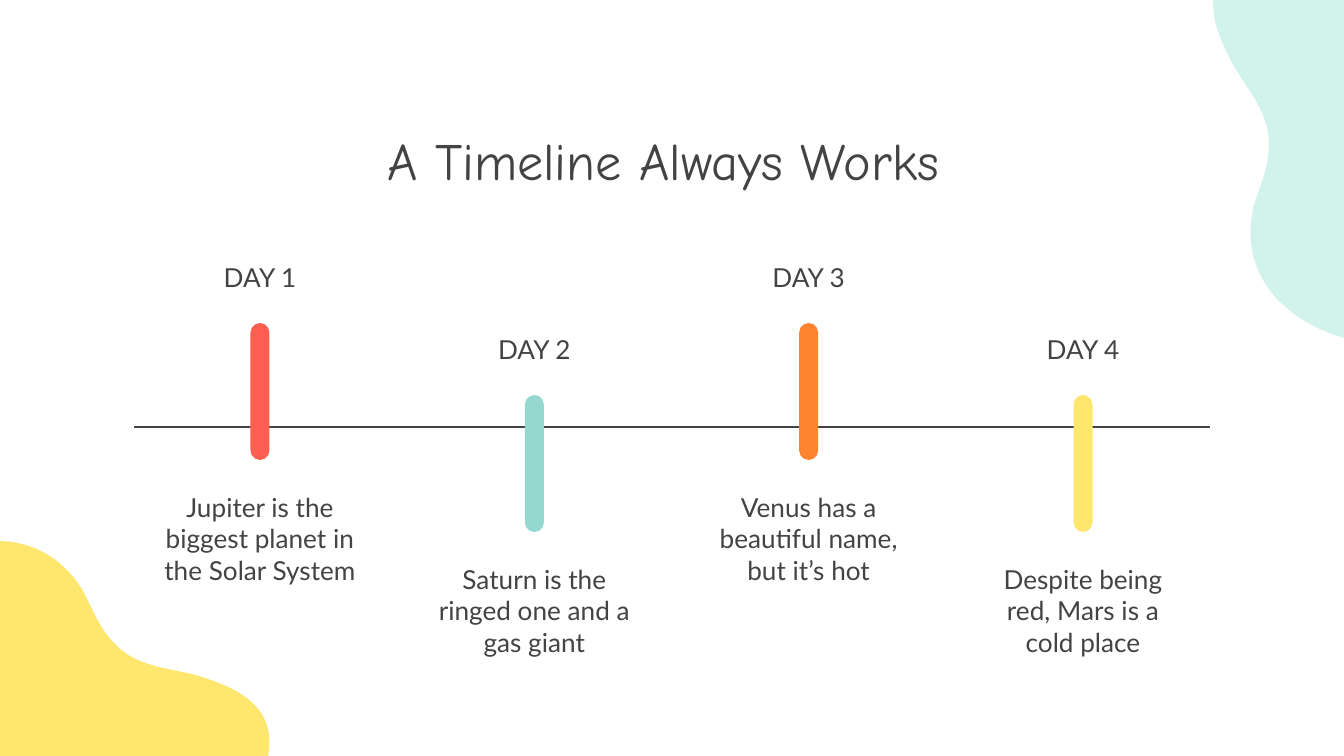
from pptx import Presentation
from pptx import util as u
from pptx.dml.color import RGBColor
from pptx.enum import shapes, text
from pptx.oxml.ns import qn

PX = 914400 / 134.4
INK = "434343"

TITLE = "A Timeline Always Works "  # the closing space sets the centring
DAYS = [
    ("DAY 1", "Jupiter is the biggest planet in the Solar System", "FF5F51"),
    ("DAY 2", "Saturn is the ringed one and a gas giant", "93D9CF"),
    ("DAY 3", "Venus has a beautiful name, but it’s hot", "FF842F"),
    ("DAY 4", "Despite being\nred, Mars is a\ncold place", "FFE76E"),
]

# Blob outline in px: each row is two control points and an end point,
# or a lone end point for a straight edge.
BLOB_START = (151, 0)
BLOB_CURVES = [
    [(78, 0), (0, 65), (17, 140)],
    [(46, 196)],
    [(82, 246), (30, 314), (99, 349)],
    [(121, 360), (148, 364), (176, 364)],
    [(246, 364), (328, 337), (367, 301)],
    [(395, 276), (431, 230), (422, 188)],
    [(415, 159), (386, 146), (359, 137)],
    [(327, 126), (294, 129), (269, 103)],
    [(253, 87), (247, 69), (237, 50)],
    [(216, 15), (184, 0), (151, 0)],
]
BLOBS = [  # left, top, turn in degrees, colour
    (-154, 541, 0, "FFE76E"),
    (1147, -55, 225, "D2F2EC"),
]

FIRST_X, LAST_X, DROP = 260, 1083, 72
BAR_W, BAR_H, BAR_TOP = 19, 137, 323
TEXT_W, LABEL_TOP, LABEL_H, NOTE_TOP, NOTE_H = 241, 248, 56, 478, 128
AXIS_LEFT, AXIS_RIGHT, AXIS_Y = 134, 1210, 427


def px(*lengths):
    return [u.Emu(round(length * PX)) for length in lengths]


def color(code):
    return RGBColor.from_string(code)


def paint(shape, code):
    shape.shadow.inherit = False
    shape.fill.solid()
    shape.fill.fore_color.rgb = color(code)
    shape.line.fill.background()


def bend(shape, curves):
    """Turn each run of three line segments into one Bézier curve."""
    segments = iter(list(shape.element.iter(qn("a:lnTo"))))
    for curve in curves:
        first, *others = [next(segments) for _ in curve]
        if others:
            first.tag = qn("a:cubicBezTo")
            for other in others:
                first.append(other[0])
                other.getparent().remove(other)


def add_blob(slide, left, top, turn, code):
    points = [point for curve in BLOB_CURVES for point in curve]
    builder = slide.shapes.build_freeform(*BLOB_START, scale=PX)
    builder.add_line_segments(points)
    blob = builder.convert_to_shape(*px(left, top))
    bend(blob, BLOB_CURVES)
    blob.rotation = turn
    paint(blob, code)


def add_text(slide, box, words, font, size, anchor=text.MSO_ANCHOR.TOP):
    frame = slide.shapes.add_textbox(*px(*box)).text_frame
    frame.word_wrap = True
    frame.vertical_anchor = anchor
    frame.margin_left = frame.margin_right = u.Inches(0.1)
    frame.margin_top = frame.margin_bottom = u.Inches(0.1)
    paragraph = frame.paragraphs[0]
    paragraph.text = words
    paragraph.alignment = text.PP_ALIGN.CENTER
    paragraph.font.name = font
    paragraph.font.size = u.Pt(size)
    paragraph.font.color.rgb = color(INK)


def add_axis(slide):
    axis = slide.shapes.add_connector(
        shapes.MSO_CONNECTOR.STRAIGHT, *px(AXIS_RIGHT, AXIS_Y, AXIS_LEFT, AXIS_Y))
    axis.line.color.rgb = color(INK)
    axis.line.width = u.Pt(1.5)
    properties = axis.element.spPr
    properties.append(properties.makeelement(qn("a:effectLst"), {}))


def add_day(slide, index, label, note, code):
    center = FIRST_X + index * (LAST_X - FIRST_X) / (len(DAYS) - 1)
    drop = index % 2 * DROP
    bar = slide.shapes.add_shape(
        shapes.MSO_SHAPE.ROUNDED_RECTANGLE,
        *px(center - BAR_H / 2, BAR_TOP + drop + (BAR_H - BAR_W) / 2, BAR_H, BAR_W))
    bar.rotation = 270
    bar.adjustments[0] = 0.5
    paint(bar, code)
    left = center - TEXT_W / 2
    add_text(slide, (left, LABEL_TOP + drop, TEXT_W, LABEL_H), label, "Lato", 14)
    add_text(slide, (left, NOTE_TOP + drop, TEXT_W, NOTE_H), note, "Lato", 14)


def main():
    deck = Presentation()
    deck.slide_width, deck.slide_height = px(1344, 756)
    slide = deck.slides.add_slide(deck.slide_layouts[6])
    for blob in BLOBS:
        add_blob(slide, *blob)
    add_text(slide, (98, 123, 1148, 73), TITLE, "Comic Neue", 28,
             text.MSO_ANCHOR.MIDDLE)
    add_axis(slide)
    for index, day in enumerate(DAYS):
        add_day(slide, index, *day)
    deck.save("out.pptx")


if __name__ == "__main__":
    main()
